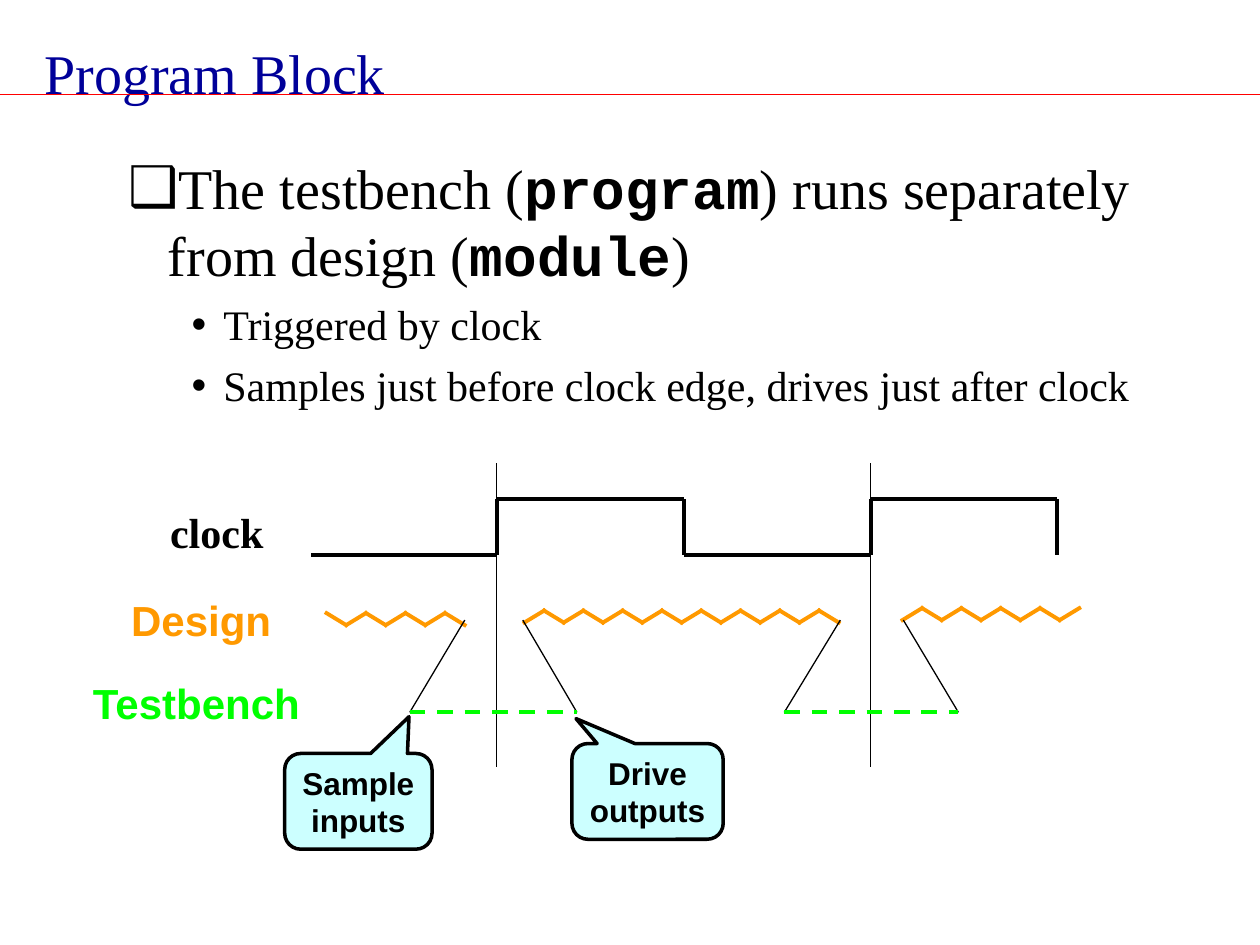
from itertools import pairwise

from lxml.etree import SubElement
from pptx import Presentation
from pptx.dml.color import RGBColor
from pptx.enum.dml import MSO_LINE
from pptx.enum.shapes import MSO_CONNECTOR, MSO_SHAPE
from pptx.enum.text import MSO_ANCHOR, MSO_AUTO_SIZE, PP_ALIGN
from pptx.oxml.ns import qn
from pptx.util import Cm, Pt

BLACK = RGBColor(0x00, 0x00, 0x00)
NAVY = RGBColor(0x00, 0x00, 0x99)
RED = RGBColor(0xFF, 0x00, 0x00)
ORANGE = RGBColor(0xFF, 0x99, 0x00)
GREEN = RGBColor(0x00, 0xFF, 0x00)
CYAN = RGBColor(0xCC, 0xFF, 0xFF)
SERIF, SANS, MONO = "Times New Roman", "Arial", "Courier New"

TITLE = "Program Block"
BULLETS = [
    (1, 32, 0, [("The testbench (", False), ("program", True),
                (") runs separately from design (", False),
                ("module", True), (")", False)]),
    (2, 24, 6, [("Triggered by clock", False)]),
    (2, 24, 6, [("Samples just before clock edge, drives just after clock", False)]),
]
BULLET_STYLE = {1: ("❑", 2.06, -0.79), 2: ("•", 3.18, -0.64)}
LABELS = [
    ("clock", SERIF, BLACK, PP_ALIGN.LEFT, 3.18, 10.08, 2.39),
    ("Design", SANS, ORANGE, PP_ALIGN.CENTER, 2.39, 11.86, 3.33),
    ("Testbench", SANS, GREEN, PP_ALIGN.CENTER, 1.6, 13.54, 4.72),
]
CALLOUTS = [
    (["Sample", "inputs"], 5.74, 15.19, 2.97, (0.344, -0.884, 0.167)),
    (["Drive", "outputs"], 11.53, 14.99, 3.05, (-0.473, -0.761, 0.167)),
]
CLOCK_X = [6.27, 10.01, 13.79, 17.55, 21.31]
CLOCK_LOW, CLOCK_HIGH = 11.18, 10.05
EDGE_TOP, EDGE_BOTTOM = 9.34, 15.47
WAVES = [(6.55, 9.4, 12.34, 7, True),
         (10.54, 16.94, 12.29, 16, False),
         (18.16, 21.79, 12.24, 9, False)]
TOOTH_W, TOOTH_H = 0.46, 0.28
WINDOWS = [(9.37, 10.54, 8.26, 11.63), (16.94, 18.21, 15.81, 19.32)]
WINDOW_TOP, WINDOW_BOTTOM = 12.5, 14.36


def write(p, text, size=24, font=SERIF, color=BLACK, bold=False,
          align=PP_ALIGN.LEFT, before=0):
    p.alignment = align
    p.space_before = Pt(before)
    r = p.add_run()
    r.text = text
    r.font.size = Pt(size)
    r.font.name = font
    r.font.bold = bold
    r.font.color.rgb = color


def place(sp, x, y, w, h):
    sp.left, sp.top, sp.width, sp.height = Cm(x), Cm(y), Cm(w), Cm(h)
    tf = sp.text_frame
    tf.auto_size = MSO_AUTO_SIZE.NONE
    tf.vertical_anchor = MSO_ANCHOR.TOP
    return tf


def add_line(x1, y1, x2, y2, color=BLACK, width=0.75, dash=None):
    c = s.shapes.add_connector(MSO_CONNECTOR.STRAIGHT, Cm(x1), Cm(y1), Cm(x2), Cm(y2))
    c.line.color.rgb = color
    c.line.width = Pt(width)
    if dash:
        c.line.dash_style = dash
    SubElement(c._element.spPr, qn("a:effectLst"))


def add_bullet(p, level):
    char, margin, indent = BULLET_STYLE[level]
    p.level = level
    pPr = p._p.get_or_add_pPr()
    pPr.set("marL", str(Cm(margin)))
    pPr.set("indent", str(Cm(indent)))
    clr = SubElement(pPr, qn("a:buClr"))
    SubElement(clr, qn("a:srgbClr"), val=str(BLACK))
    SubElement(pPr, qn("a:buChar"), char=char)


prs = Presentation()
prs.slide_width, prs.slide_height = Cm(25.4), Cm(19.05)
s = prs.slides.add_slide(prs.slide_layouts[1])

add_line(0, 1.9, 25.4, 1.9, RED)
tf = place(s.shapes.title, 0.64, 0.64, 13.34, 1.63)
write(tf.paragraphs[0], TITLE, size=32, color=NAVY)

tf = place(s.placeholders[1], 1.07, 2.97, 22.86, 5.08)
for i, (level, size, before, runs) in enumerate(BULLETS):
    p = tf.add_paragraph() if i else tf.paragraphs[0]
    add_bullet(p, level)
    for text, code in runs:
        write(p, text, size=size, font=MONO if code else SERIF, bold=code, before=before)

for x in CLOCK_X[1::2]:
    add_line(x, EDGE_TOP, x, EDGE_BOTTOM)
for i, (x1, x2) in enumerate(pairwise(CLOCK_X)):
    y = CLOCK_HIGH if i % 2 else CLOCK_LOW
    add_line(x1, y, x2, y, width=2.25)
    add_line(x2, CLOCK_LOW, x2, CLOCK_HIGH, width=2.25)

for x1, x2, top, count, falling in WAVES:
    step = (x2 - x1 - TOOTH_W) / (count - 1)
    for i in range(count):
        x = x1 + i * step
        ends = (top, top + TOOTH_H)
        start, end = ends if (i % 2 == 0) == falling else ends[::-1]
        add_line(x, start, x + TOOTH_W, end, ORANGE, 2.25)

for sample, drive, left, right in WINDOWS:
    add_line(sample, WINDOW_TOP, left, WINDOW_BOTTOM)
    add_line(drive, WINDOW_TOP, right, WINDOW_BOTTOM)
    add_line(left, WINDOW_BOTTOM, right, WINDOW_BOTTOM, GREEN, 2.25, MSO_LINE.DASH)

for text, font, color, align, x, y, w in LABELS:
    tf = place(s.shapes.add_textbox(0, 0, 0, 0), x, y, w, 1.27)
    tf.word_wrap = False
    write(tf.paragraphs[0], text, font=font, color=color, bold=True, align=align)

for lines, x, y, w, adjustments in CALLOUTS:
    sp = s.shapes.add_shape(MSO_SHAPE.ROUNDED_RECTANGULAR_CALLOUT, 0, 0, 0, 0)
    tf = place(sp, x, y, w, 1.93)
    for i, value in enumerate(adjustments):
        sp.adjustments[i] = value
    sp.shadow.inherit = False
    sp.fill.solid()
    sp.fill.fore_color.rgb = CYAN
    sp.line.color.rgb = BLACK
    sp.line.width = Pt(2)
    tf.vertical_anchor = MSO_ANCHOR.MIDDLE
    tf.word_wrap = False
    for i, text in enumerate(lines):
        p = tf.add_paragraph() if i else tf.paragraphs[0]
        write(p, text, size=18, font=SANS, bold=True, align=PP_ALIGN.CENTER)

prs.save("out.pptx")
